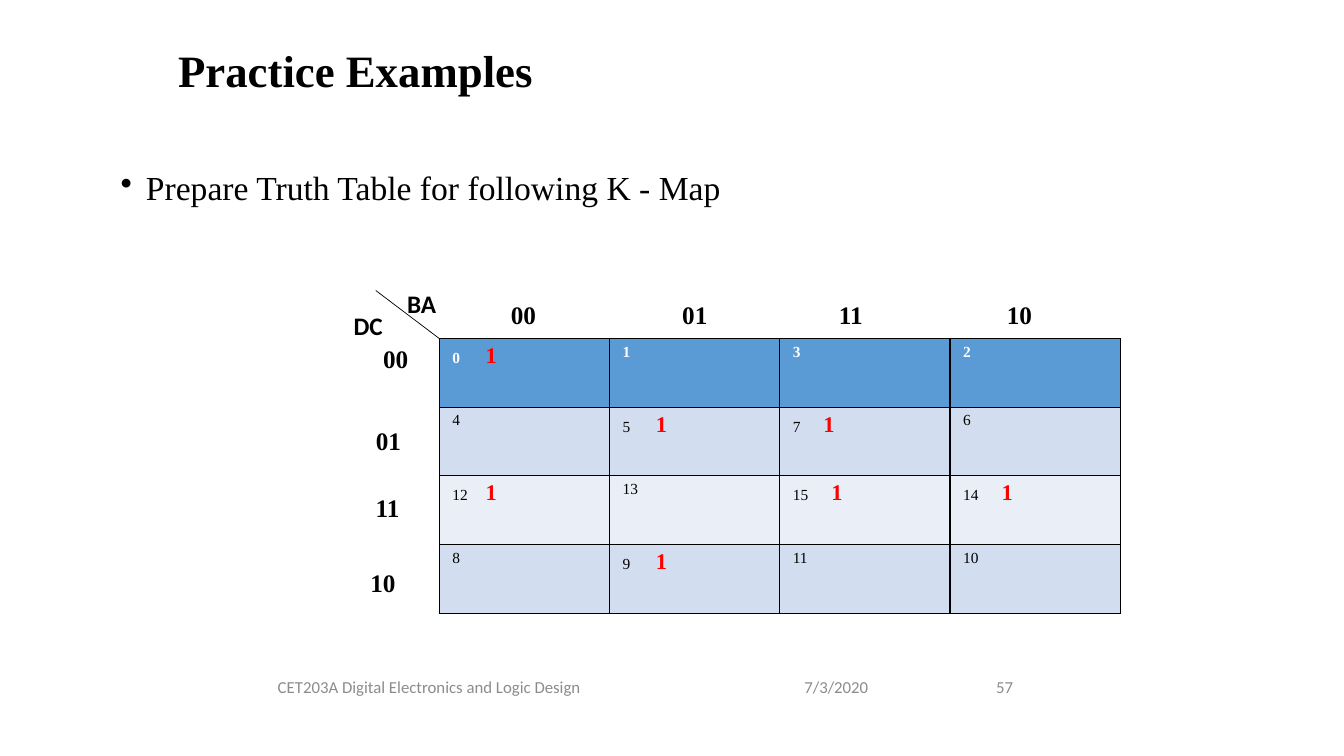
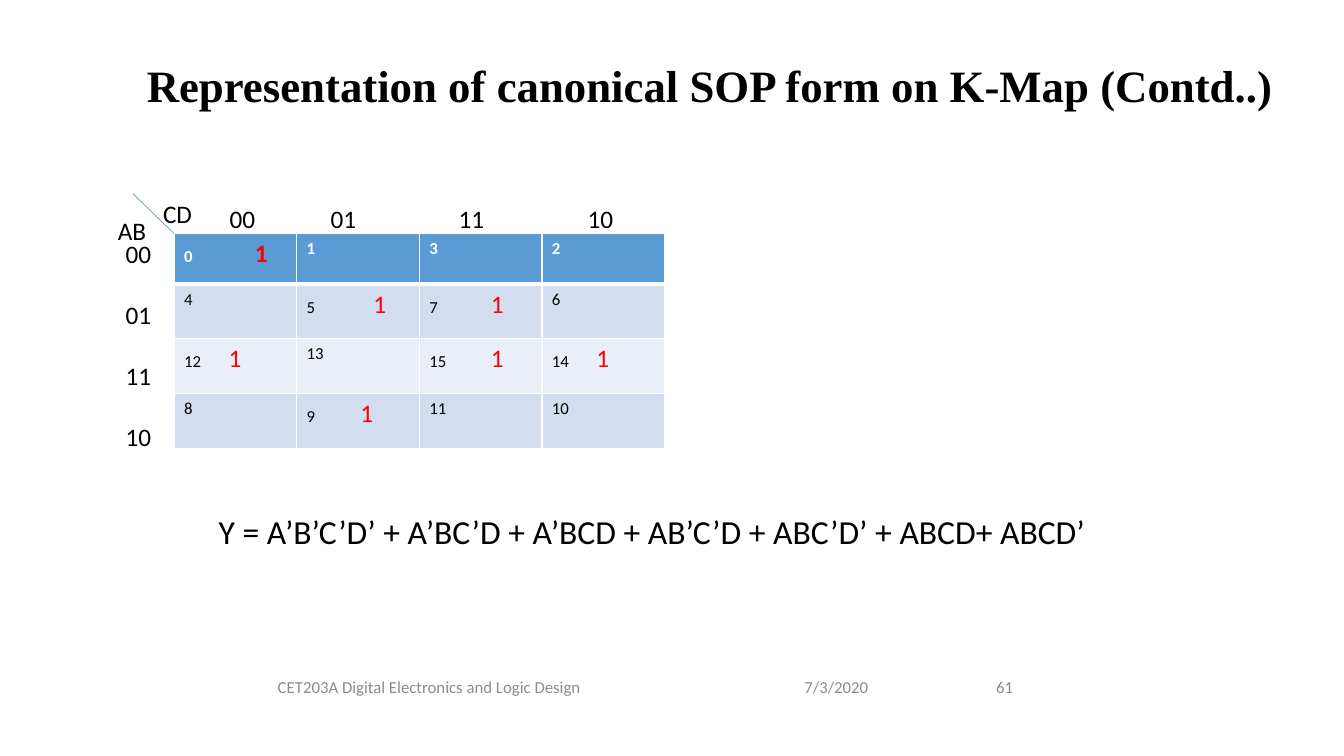
from lxml import etree
from pptx import Presentation
from pptx.dml.color import RGBColor
from pptx.enum.shapes import MSO_CONNECTOR
from pptx.enum.text import MSO_ANCHOR, PP_ALIGN
from pptx.oxml.ns import qn
from pptx.util import Cm, Pt

LEFT, CENTER, RIGHT = PP_ALIGN.LEFT, PP_ALIGN.CENTER, PP_ALIGN.RIGHT
TOP, MIDDLE = MSO_ANCHOR.TOP, MSO_ANCHOR.MIDDLE
STRAIGHT = MSO_CONNECTOR.STRAIGHT

COLORS = {
    "text": "000000",
    "white": "FFFFFF",
    "muted": "8C8C8C",
    "mark": "FF0000",
    "header": "5B9BD5",
    "band_dark": "D2DEEF",
    "band_light": "EAEFF7",
}
SERIF, SANS = "Times New Roman", "Calibri"
GRAY_CODE = [0, 1, 3, 2]
CODES = [format(code, "02b") for code in GRAY_CODE]
ROW_FILLS = ["header", "band_dark", "band_light", "band_dark"]


def write(frame, text, size=18, font=SANS, color="text", bold=False, align=LEFT,
          spacing=None, before=0, bullet=False, tabs=(), mark=None):
    """Fill a text frame; lines become paragraphs, tabs are in cm.

    mark holds the format of a red 1 set after a tab.
    """
    for number, line in enumerate(text.split("\n")):
        paragraph = frame.paragraphs[0] if number == 0 else frame.add_paragraph()
        properties = paragraph._p.get_or_add_pPr()
        if bullet:
            properties.set("marL", str(Cm(0.64)))
            properties.set("indent", str(-Cm(0.64)))
            etree.SubElement(properties, qn("a:buChar")).set("char", "•")
        if tabs:
            stops = etree.SubElement(properties, qn("a:tabLst"))
            for position in tabs:
                stop = etree.SubElement(stops, qn("a:tab"))
                stop.set("pos", str(Cm(position)))
                stop.set("algn", "l")
        paragraph.alignment = align
        if spacing:
            paragraph.line_spacing = spacing
        if number and before:
            paragraph.space_before = Pt(before)
        parts = [(line, size, color, bold)]
        if mark:
            parts.append(("\t1", mark["size"], "mark", mark["bold"]))
        for part, part_size, part_color, part_bold in parts:
            run = paragraph.add_run()
            run.text = part
            run.font.size = Pt(part_size)
            run.font.name = font
            run.font.bold = part_bold
            run.font.color.rgb = RGBColor.from_string(COLORS[part_color])


def add_text(slide, box, text, anchor=TOP, wrap=True, **text_format):
    frame = slide.shapes.add_textbox(*map(Cm, box)).text_frame
    frame.word_wrap = wrap
    frame.vertical_anchor = anchor
    write(frame, text, **text_format)


# marks: minterm -> distance of its 1 from the start of the cell text, in cm
SLIDES = [
    {
        "title": "Practice Examples",
        "title_box": (4.24, 0, 26.77, 3.68),
        "page": "57",
        "origin": (11.07, 8.53),
        "column": 4.29,
        "rows": [1.73] * 4,
        "inset": 0.33,
        "font": SERIF,
        "size": 11,
        "mark_size": 16,
        "bold_marks": True,
        "marks": {0: 0.84, 5: 0.84, 7: 0.77, 12: 0.84, 15: 0.97, 14: 0.97, 9: 0.84},
        "border": "text",
        "header_rule": 1,
        "corner_start": (9.47, 7.32),
        "corner_color": "text",
    },
    {
        "title": "Representation of canonical SOP form on K-Map (Contd..)",
        "title_box": (3.45, 1.14, 29.64, 2.16),
        "page": "61",
        "origin": (4.39, 5.89),
        "column": 3.09,
        "rows": [1.27] + [1.38] * 3,
        "inset": 0.25,
        "font": SANS,
        "size": 12,
        "mark_size": 18,
        "bold_marks": False,
        "marks": {0: 1.78, 5: 1.68, 7: 1.55, 12: 1.12, 15: 1.55, 14: 1.12, 9: 1.35},
        "border": "white",
        "header_rule": 3,
        "corner_start": (3.35, 4.88),
        "corner_color": "header",
    },
]

deck = Presentation()
deck.slide_width, deck.slide_height = Cm(33.87), Cm(19.05)
slides = []

for content in SLIDES:
    slide = deck.slides.add_slide(deck.slide_layouts[6])
    slides.append(slide)
    add_text(slide, content["title_box"], content["title"], anchor=MIDDLE,
             size=32, font=SERIF, bold=True, spacing=0.9)
    for left, width, text, align in [
        (2.26, 17.12, "CET203A Digital Electronics and Logic Design", CENTER),
        (20.02, 2.54, "7/3/2020", LEFT),
        (23.88, 1.9, content["page"], RIGHT),
    ]:
        add_text(slide, (left, 16.79, width, 1.02), text, anchor=MIDDLE,
                 size=12, color="muted", align=align)

    # Karnaugh map
    left, top = content["origin"]
    kmap = slide.shapes.add_table(4, 4, Cm(left), Cm(top), Cm(4 * content["column"]),
                                  Cm(sum(content["rows"]))).table
    kmap.horz_banding = False
    for column in kmap.columns:
        column.width = Cm(content["column"])
    for row_index, row_code in enumerate(GRAY_CODE):
        kmap.rows[row_index].height = Cm(content["rows"][row_index])
        is_header = row_index == 0
        for column_index, column_code in enumerate(GRAY_CODE):
            cell = kmap.cell(row_index, column_index)
            cell.margin_left = cell.margin_right = Cm(content["inset"])
            borders = {"a:lnL": 1, "a:lnR": 1, "a:lnT": 1, "a:lnB": 1}
            if row_index < 2:
                borders["a:lnB" if is_header else "a:lnT"] = content["header_rule"]
            for side, width in borders.items():
                edge = etree.SubElement(cell._tc.get_or_add_tcPr(), qn(side))
                edge.set("w", str(Pt(width)))
                fill = etree.SubElement(edge, qn("a:solidFill"))
                etree.SubElement(fill, qn("a:srgbClr")).set(
                    "val", COLORS[content["border"]])
            cell.fill.solid()
            cell.fill.fore_color.rgb = RGBColor.from_string(COLORS[ROW_FILLS[row_index]])
            minterm = 4 * row_code + column_code
            tabs, mark = (), None
            if minterm in content["marks"]:
                tabs = [content["marks"][minterm]]
                mark = {"size": content["mark_size"],
                        "bold": is_header or content["bold_marks"]}
            write(cell.text_frame, str(minterm), size=content["size"],
                  font=content["font"], color="white" if is_header else "text",
                  bold=is_header, tabs=tabs, mark=mark)

    corner = slide.shapes.add_connector(
        STRAIGHT, *map(Cm, content["corner_start"] + content["origin"]))
    corner.line.width = Pt(0.5)
    corner.line.color.rgb = RGBColor.from_string(COLORS[content["corner_color"]])
    etree.SubElement(corner._element.spPr, qn("a:effectLst"))

practice, canonical = slides

# Practice map: task and axis labels
add_text(practice, (2.79, 4.19, 29.21, 12.09), "Prepare Truth Table for following K - Map",
         size=24, font=SERIF, spacing=0.9, bullet=True)
column_places = [(12.62, 7.42), (16.94, 7.42), (20.87, 7.42), (25.12, 7.42)]
row_places = [(9.4, 8.53), (9.22, 10.59), (9.2, 12.27), (9.08, 14.17)]
for (left, top), code in zip(column_places + row_places, CODES * 2):
    add_text(practice, (left, top, 1.14, 1.02), code, wrap=False,
             font=SERIF, bold=True, align=CENTER)
for left, top, variables in [(10.01, 7.14, "BA"), (8.66, 7.7, "DC")]:
    add_text(practice, (left, top, 1.24, 1.02), variables, wrap=False, bold=True)

# Canonical map: axis labels and result
add_text(canonical, (2.72, 5.31, 1.47, 1.02), "AB")
add_text(canonical, (3.86, 4.88, 1.37, 1.02), "CD")
add_text(canonical, (5.54, 5, 11.86, 1.02), "\t".join(CODES), tabs=[2.54, 5.77, 9.02])
add_text(canonical, (2.92, 5.89, 1.37, 5.64), "\n".join(CODES), before=22)
add_text(canonical, (5.26, 12.75, 22.43, 1.27),
         "Y = A’B’C’D’ + A’BC’D + A’BCD + AB’C’D + ABC’D’ + ABCD+ ABCD’", size=24)

deck.save("out.pptx")
